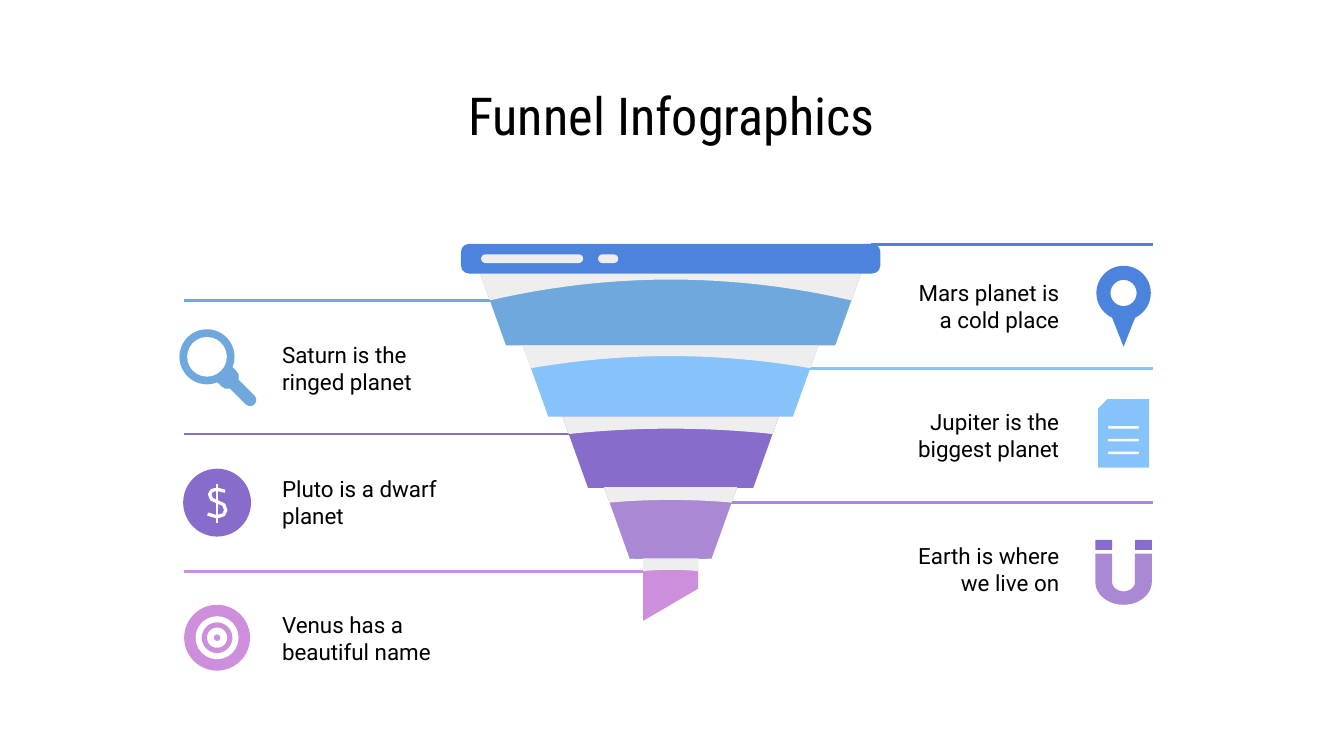
from dataclasses import dataclass
from math import cos, pi, sin
from typing import NamedTuple

from lxml.etree import SubElement
from pptx import Presentation
from pptx.dml.color import RGBColor
from pptx.enum.shapes import MSO_CONNECTOR, MSO_SHAPE
from pptx.enum.text import MSO_ANCHOR, PP_ALIGN
from pptx.oxml.ns import qn
from pptx.util import Emu, Inches, Pt

# The grid has square cells: 100 columns by 56.25 rows.
CELL = Inches(0.1)
COLUMNS, ROWS = 100, 56.25
AXIS = 49.9
BAND_ROWS, TAPER = 5.3, 1.9
LEFT_EDGE, RIGHT_EDGE = 13.7, 85.8
LEFT_ICON, RIGHT_ICON = 16.15, 83.6


@dataclass(frozen=True)
class Theme:
    royal: str = "4C84DD"
    steel: str = "6FA8DC"
    sky: str = "85C3FA"
    violet: str = "886CCC"
    lilac: str = "AB88D3"
    pink: str = "CD8FDB"
    rim: str = "64B5FC"
    gray: str = "EEEEEE"
    white: str = "FFFFFF"
    black: str = "000000"
    body_font: str = "Roboto"
    title_font: str = "Roboto Condensed"
    body_size: float = 12
    title_size: float = 28
    rule_width: float = 1.5
    stroke_width: float = 1.75


THEME = Theme()


class Point(NamedTuple):
    column: float
    row: float


class Band(NamedTuple):
    color: str
    top: float
    half_width: float
    shoulder: float
    crown: float
    on_left: bool


class Label(NamedTuple):
    text: str
    column: float
    row: float
    align: PP_ALIGN
    left_inset: float = 1


BANDS = [
    Band(THEME.steel, 20.4, 14.15, 22.35, 20.8, True),
    Band(THEME.sky, 25.7, 11, 27.4, 26.5, False),
    Band(THEME.violet, 31, 8.05, 32.3, 31.9, True),
    Band(THEME.lilac, 36.25, 4.95, 37.4, 37.2, False),
]
SPOUT = Band(THEME.pink, 41.5, 2.05, 42.5, 42.4, True)

LABELS = [
    Label("Saturn is the ringed planet", 20, 24.4, PP_ALIGN.LEFT),
    Label("Pluto is a dwarf planet", 20, 34.4, PP_ALIGN.LEFT),
    Label("Venus has a beautiful name", 20, 44.5, PP_ALIGN.LEFT),
    Label("Mars planet is a cold place", 65.3, 19.8, PP_ALIGN.RIGHT, 2),
    Label("Jupiter is the biggest planet", 65.3, 29.4, PP_ALIGN.RIGHT),
    Label("Earth is where we live on", 65.3, 39.4, PP_ALIGN.RIGHT),
]


def cells(count: float) -> Emu:
    return Emu(round(count * CELL))


def paint(shape, color: str) -> None:
    shape.shadow.inherit = False
    shape.fill.solid()
    shape.fill.fore_color.rgb = RGBColor.from_string(color)
    shape.line.fill.background()


def stroke(shape, color: str, width: float) -> None:
    shape.line.color.rgb = RGBColor.from_string(color)
    shape.line.width = Pt(width)


def add_preset(page, kind, center: Point, width: float, height: float, color: str,
               adjustment: float | None = None, rotation: float = 0):
    shape = page.shapes.add_shape(kind, cells(center.column - width / 2),
                                  cells(center.row - height / 2), cells(width), cells(height))
    if adjustment is not None:
        shape.adjustments[0] = adjustment
    shape.rotation = rotation
    paint(shape, color)


def add_disc(page, center: Point, size: float, color: str) -> None:
    add_preset(page, MSO_SHAPE.OVAL, center, size, size, color)


def add_ring(page, center: Point, size: float, thickness: float, color: str) -> None:
    add_preset(page, MSO_SHAPE.DONUT, center, size, size, color, thickness / size)


def add_outline(page, points: list[Point], close: bool = True):
    corners = [(cells(column), cells(row)) for column, row in points]
    builder = page.shapes.build_freeform(*corners[0], scale=1.0)
    builder.add_line_segments(corners[1:], close=close)
    return builder.convert_to_shape()


def add_polygon(page, points: list[Point], color: str) -> None:
    paint(add_outline(page, points), color)


def add_rule(page, start: Point, end: Point, color: str, width: float) -> None:
    rule = page.shapes.add_connector(MSO_CONNECTOR.STRAIGHT, *map(cells, (*start, *end)))
    stroke(rule, color, width)
    SubElement(rule._element.spPr, qn("a:effectLst"))


def add_text(page, text: str, corner: Point, size: Point, align: PP_ALIGN,
             font: dict, left_inset: float = 1) -> None:
    box = page.shapes.add_textbox(*map(cells, (*corner, *size)))
    frame_format = {"word_wrap": True, "vertical_anchor": MSO_ANCHOR.MIDDLE,
                    "margin_left": cells(left_inset), "margin_right": cells(1),
                    "margin_top": cells(1), "margin_bottom": cells(1)}
    for name, value in frame_format.items():
        setattr(box.text_frame, name, value)
    para = box.text_frame.paragraphs[0]
    para.alignment = align
    span = para.add_run()
    span.text = text
    for name, value in font.items():
        setattr(span.font, name, value)
    span.font.color.rgb = RGBColor.from_string(THEME.black)


def add_band(page, band: Band, taper: float, left_bottom: float, right_bottom: float) -> None:
    """Draw a funnel level, its gray arched cap and the rule that leads to its label."""
    shoulder_half = band.half_width - taper * (band.shoulder - band.top) / BAND_ROWS
    side = -1 if band.on_left else 1
    edge = LEFT_EDGE if band.on_left else RIGHT_EDGE
    add_rule(page, Point(edge, band.shoulder),
             Point(AXIS + side * (shoulder_half - 0.2), band.shoulder),
             band.color, THEME.rule_width)
    top_left = Point(AXIS - band.half_width, band.top)
    top_right = Point(AXIS + band.half_width, band.top)
    bottom_half = band.half_width - taper
    add_polygon(page, [top_left, Point(AXIS - bottom_half, left_bottom),
                       Point(AXIS + bottom_half, right_bottom), top_right], band.color)
    shares = [step / 12 for step in range(-12, 13)]
    arch = [Point(AXIS + share * shoulder_half,
                  band.crown + (band.shoulder - band.crown) * share ** 2) for share in shares]
    add_polygon(page, [top_left, *arch, top_right], THEME.gray)


def add_header(page) -> None:
    add_rule(page, Point(64.8, 18.2), Point(RIGHT_EDGE, 18.2), THEME.royal, THEME.rule_width)
    pill = MSO_SHAPE.ROUNDED_RECTANGLE
    add_preset(page, pill, Point(AXIS, 19.25), 31.2, 2.2, THEME.royal, 0.27)
    for column, width in ((39.6, 7.6), (45.25, 1.5)):
        add_preset(page, pill, Point(column, 19.25), width, 0.65, THEME.gray, 0.5)


def add_magnifier(page) -> None:
    for center, width, height, rounding in ((Point(17.7, 28.85), 3.5, 0.92, 0.5),
                                            (Point(16.85, 28), 1.7, 1.6, 0.35)):
        add_preset(page, MSO_SHAPE.ROUNDED_RECTANGLE, center, width, height,
                   THEME.steel, rounding, 45)
    lens = Point(15.4, 26.55)
    add_disc(page, lens, 4.1, THEME.steel)
    add_disc(page, lens, 2.95, THEME.white)


def add_coin(page) -> None:
    add_disc(page, Point(LEFT_ICON, 37.4), 5.05, THEME.violet)
    curve = [(16.75, 36.55), (16.15, 36.4), (15.75, 36.5), (15.6, 36.8), (15.75, 37.15),
             (16.2, 37.35), (16.65, 37.55), (16.8, 37.95), (16.65, 38.3), (16.15, 38.45),
             (15.45, 38.25)]
    letter = add_outline(page, [Point(*pair) for pair in curve], close=False)
    letter.shadow.inherit = False
    letter.fill.background()
    stroke(letter, THEME.white, THEME.stroke_width)
    add_rule(page, Point(LEFT_ICON, 36), Point(LEFT_ICON, 38.9), THEME.white, THEME.rule_width)


def add_target(page) -> None:
    center = Point(LEFT_ICON, 47.45)
    add_disc(page, center, 4.9, THEME.pink)
    add_ring(page, center, 3.2, 0.45, THEME.white)
    add_ring(page, center, 1.5, 0.5, THEME.white)


def add_pin(page) -> None:
    add_polygon(page, [Point(RIGHT_ICON - 0.95, 23.4), Point(RIGHT_ICON, 25.8),
                       Point(RIGHT_ICON + 0.95, 23.4)], THEME.royal)
    add_ring(page, Point(RIGHT_ICON, 21.8), 4.05, 1.05, THEME.royal)


def add_document(page) -> None:
    corners = [(82.4, 29.7), (81.7, 30.4), (81.7, 34.8), (85.5, 34.8), (85.5, 29.7)]
    add_polygon(page, [Point(*pair) for pair in corners], THEME.sky)
    for line in range(3):
        add_preset(page, MSO_SHAPE.ROUNDED_RECTANGLE, Point(RIGHT_ICON, 31.8 + 0.95 * line),
                   2.3, 0.2, THEME.white, 0.5)


def add_magnet(page) -> None:
    angles = [pi * step / 24 for step in range(25)]
    outer = [Point(RIGHT_ICON - 2.1 * cos(angle), 43.3 + 1.7 * sin(angle)) for angle in angles]
    inner = [Point(RIGHT_ICON + 0.85 * cos(angle), 43.3 + 0.7 * sin(angle)) for angle in angles]
    add_polygon(page, [Point(outer[0].column, 41.2), *outer, Point(outer[-1].column, 41.2),
                       Point(inner[0].column, 41.2), *inner, Point(inner[-1].column, 41.2)],
                THEME.lilac)
    for side in (-1, 1):
        add_preset(page, MSO_SHAPE.RECTANGLE, Point(RIGHT_ICON + side * 1.48, 40.55),
                   1.25, 0.75, THEME.violet)


def main() -> None:
    deck = Presentation()
    deck.slide_width, deck.slide_height = cells(COLUMNS), cells(ROWS)
    page = deck.slides.add_slide(deck.slide_layouts[6])
    add_preset(page, MSO_SHAPE.OVAL, Point(AXIS, 41.55), 6.2, 0.12, THEME.rim)
    add_band(page, SPOUT, 0, 46.2, 43.8)
    for band in BANDS:
        add_band(page, band, TAPER, band.top + BAND_ROWS, band.top + BAND_ROWS)
    add_header(page)
    for add_icon in (add_magnifier, add_coin, add_target, add_pin, add_document, add_magnet):
        add_icon(page)
    body = {"name": THEME.body_font, "size": Pt(THEME.body_size)}
    for label in LABELS:
        add_text(page, label.text, Point(label.column, label.row), Point(14.5, 5.9),
                 label.align, body, label.left_inset)
    title = {"name": THEME.title_font, "size": Pt(THEME.title_size)}
    add_text(page, "Funnel Infographics", Point(31.2, 5.9), Point(37.5, 5.3),
             PP_ALIGN.CENTER, title)
    deck.save("out.pptx")


if __name__ == "__main__":
    main()
